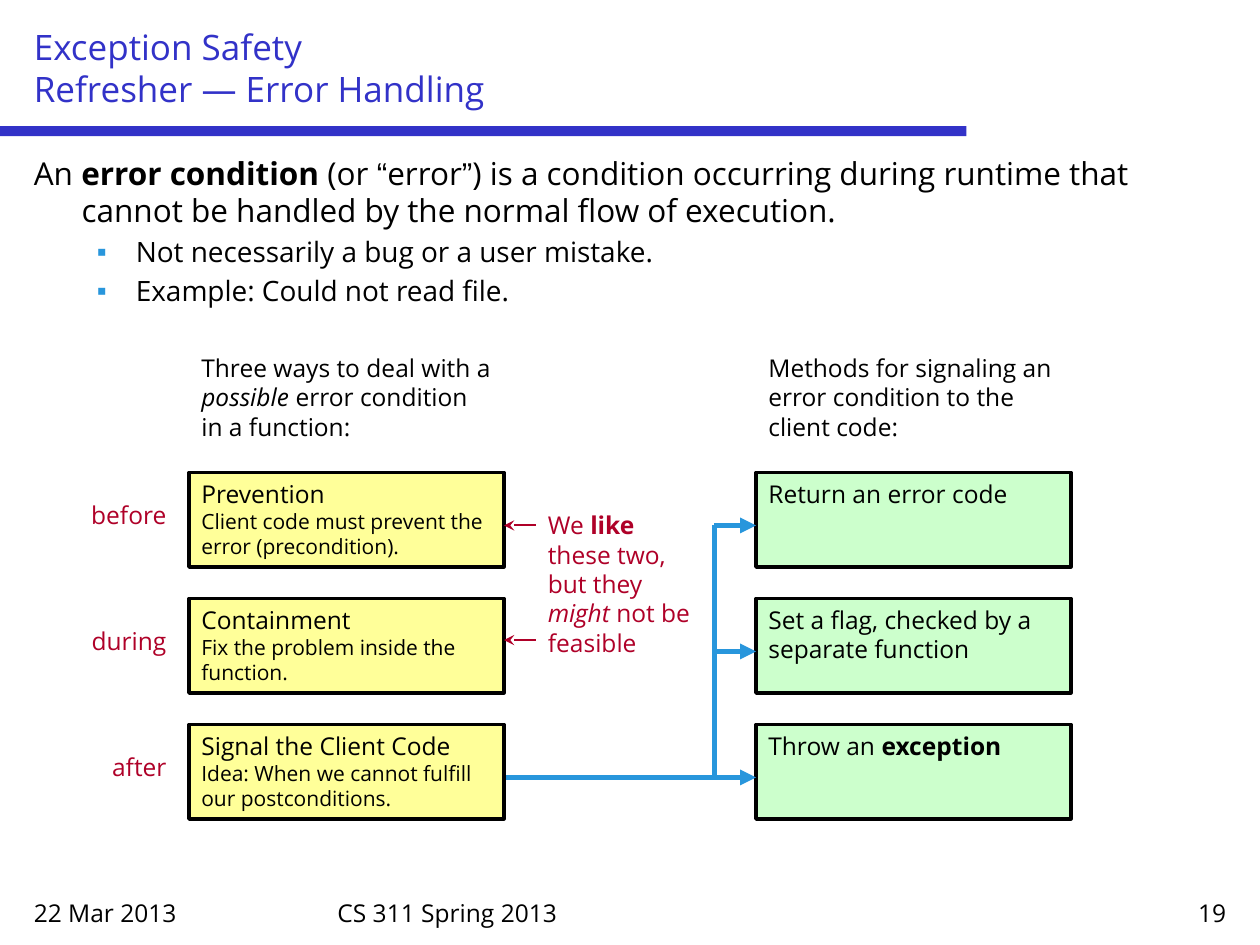
from dataclasses import dataclass
from typing import Optional

from lxml import etree
from pptx import Presentation
from pptx.dml.color import RGBColor
from pptx.enum.shapes import MSO_CONNECTOR, MSO_SHAPE
from pptx.enum.text import MSO_ANCHOR, PP_ALIGN
from pptx.oxml.ns import qn
from pptx.util import Inches, Pt

LEFT, RIGHT = PP_ALIGN.LEFT, PP_ALIGN.RIGHT
TOP, BOTTOM = MSO_ANCHOR.TOP, MSO_ANCHOR.BOTTOM
RECTANGLE, STRAIGHT = MSO_SHAPE.RECTANGLE, MSO_CONNECTOR.STRAIGHT
BLACK, INDIGO, BLUE, RED = "000000", "3232C8", "2896DC", "AF0028"
YELLOW, GREEN = "FFFF99", "CCFFCC"
FONT = "Open Sans"


@dataclass
class Span:
    text: str
    size: float = 14
    bold: bool = False
    italic: bool = False
    font: str = FONT


@dataclass
class Box:
    left: float
    top: float
    fill: str
    spans: list[Span]


@dataclass
class Line:
    start: tuple[float, float]
    end: tuple[float, float]
    color: str
    width: float
    arrow: Optional[str] = None


def rgb(color: str) -> RGBColor:
    return RGBColor.from_string(color)


def write(paragraph, spans: list[Span], color: str = BLACK) -> None:
    for span in spans:
        for index, text in enumerate(span.text.split("\n")):
            if index:
                paragraph.add_line_break()
            if text:
                run = paragraph.add_run()
                run.text = text
                run.font.size = Pt(span.size)
                run.font.name = span.font
                run.font.bold, run.font.italic = span.bold, span.italic
                run.font.color.rgb = rgb(color)


def add_text(left: float, top: float, width: float, height: float, spans: list[Span],
             color: str = BLACK, align=LEFT, anchor=TOP):
    shape = slide.shapes.add_textbox(Inches(left), Inches(top), Inches(width), Inches(height))
    frame = shape.text_frame
    frame.word_wrap = True
    frame.vertical_anchor = anchor
    frame.paragraphs[0].alignment = align
    write(frame.paragraphs[0], spans, color)
    return frame


def add_rectangle(left: float, top: float, width: float, height: float, fill: str):
    shape = slide.shapes.add_shape(
        RECTANGLE, Inches(left), Inches(top), Inches(width), Inches(height))
    shape.shadow.inherit = False
    shape.fill.solid()
    shape.fill.fore_color.rgb = rgb(fill)
    shape.line.fill.background()
    return shape


def add_box(box: Box) -> None:
    shape = add_rectangle(box.left, box.top, BOX_WIDTH, BOX_HEIGHT, box.fill)
    shape.line.color.rgb = rgb(BLACK)
    shape.line.width = Pt(2)
    frame = shape.text_frame
    frame.word_wrap = True
    frame.vertical_anchor = TOP
    frame.paragraphs[0].alignment = LEFT
    write(frame.paragraphs[0], box.spans)


def add_line(line: Line) -> None:
    points = [Inches(value) for value in (*line.start, *line.end)]
    connector = slide.shapes.add_connector(STRAIGHT, *points)
    connector.line.color.rgb = rgb(line.color)
    connector.line.width = Pt(line.width)
    properties = connector._element.spPr
    if line.arrow:
        etree.SubElement(properties.find(qn("a:ln")), qn("a:tailEnd"), type=line.arrow)
    etree.SubElement(properties, qn("a:effectLst"))


def indent(paragraph, margin: float, first: float, bullet: str = "") -> None:
    properties = paragraph._p.get_or_add_pPr()
    properties.set("marL", str(Inches(margin)))
    properties.set("indent", str(Inches(first)))
    if bullet:
        color = etree.SubElement(properties, qn("a:buClr"))
        etree.SubElement(color, qn("a:srgbClr"), val=BLUE)
        etree.SubElement(properties, qn("a:buFont"), typeface="Arial")
        etree.SubElement(properties, qn("a:buChar"), char=bullet)


presentation = Presentation()
presentation.slide_width, presentation.slide_height = Inches(10), Inches(7.5)
slide = presentation.slides.add_slide(presentation.slide_layouts[6])

# Title, rule and footer
add_rectangle(0, 1, 7.67, 0.08, INDIGO)
add_text(0.17, 0.17, 9.67, 0.75, [Span("Exception Safety\nRefresher — Error Handling", 20)],
         INDIGO, anchor=BOTTOM)
for left, width, text, align in [(0.17, 2.33, "22 Mar 2013", LEFT),
                                 (2.58, 4.83, "CS 311 Spring 2013", LEFT),
                                 (7.5, 2.33, "19", RIGHT)]:
    add_text(left, 7.08, width, 0.33, [Span(text)], align=align)

# Definition with bullets
body = add_text(0.17, 1.17, 9.67, 5.83, [
    Span("An ", 18), Span("error condition", 18, bold=True), Span(" (or ", 18),
    Span("“", 18, font="Arial"), Span("error", 18), Span("”", 18, font="Arial"),
    Span(") is a condition occurring during runtime that cannot be handled "
         "by the normal flow of execution.", 18)])
indent(body.paragraphs[0], 0.38, -0.38)
for text in ("Not necessarily a bug or a user mistake.", "Example: Could not read file."):
    paragraph = body.add_paragraph()
    paragraph.level = 1
    paragraph.space_before = Pt(3.2)
    indent(paragraph, 0.81, -0.31, "▪")
    write(paragraph, [Span(text, 16)])

# Diagram grid
BOX_WIDTH, BOX_HEIGHT = 2.5, 0.75
WAYS_LEFT, METHODS_LEFT = 1.5, 6
ROW_TOPS = [3.75 + row for row in range(3)]
ARROW_OFFSET = 0.42
TRUNK = 5.67
WAYS_RIGHT = WAYS_LEFT + BOX_WIDTH

# Column headings, row labels and remark
add_text(WAYS_LEFT, 2.75, BOX_WIDTH, BOX_HEIGHT, [
    Span("Three ways to deal with a "), Span("possible", italic=True),
    Span(" error condition in a function:")])
add_text(METHODS_LEFT, 2.75, BOX_WIDTH, BOX_HEIGHT,
         [Span("Methods for signaling an error condition to the client code:")])
for top, label in zip(ROW_TOPS, ("before", "during", "after")):
    add_text(0.5, top + 0.17, 0.92, 0.34, [Span(label)], RED, RIGHT)
add_text(4.25, 4, 1.33, 1.29, [
    Span("We "), Span("like", bold=True), Span(" these two, but they "),
    Span("might", italic=True), Span(" not be feasible")], RED)

# Boxes and lines; the last way covers the start of its arrow
ways = [Box(WAYS_LEFT, top, YELLOW, [Span(name + "\n"), Span(detail, 12)])
        for top, (name, detail) in zip(ROW_TOPS, [
            ("Prevention", "Client code must prevent the error (precondition)."),
            ("Containment", "Fix the problem inside the function."),
            ("Signal the Client Code", "Idea: When we cannot fulfill our postconditions.")])]
methods = [Box(METHODS_LEFT, top, GREEN, spans) for top, spans in zip(ROW_TOPS, [
    [Span("Return an error code")],
    [Span("Set a flag, checked by a separate function")],
    [Span("Throw an "), Span("exception", bold=True)]])]
arrow_rows = [top + ARROW_OFFSET for top in ROW_TOPS]
lines = [Line((4.25, y), (WAYS_RIGHT, y), RED, 1.25, "stealth") for y in (arrow_rows[0], 5.08)]
lines += [Line((x, y), (METHODS_LEFT, y), BLUE, 3, "triangle")
          for x, y in zip((TRUNK, TRUNK, 3.83), arrow_rows)]
lines.append(Line((TRUNK, arrow_rows[-1]), (TRUNK, arrow_rows[0]), BLUE, 3))

for box in ways[:-1] + methods:
    add_box(box)
for line in lines:
    add_line(line)
add_box(ways[-1])

presentation.save("out.pptx")
